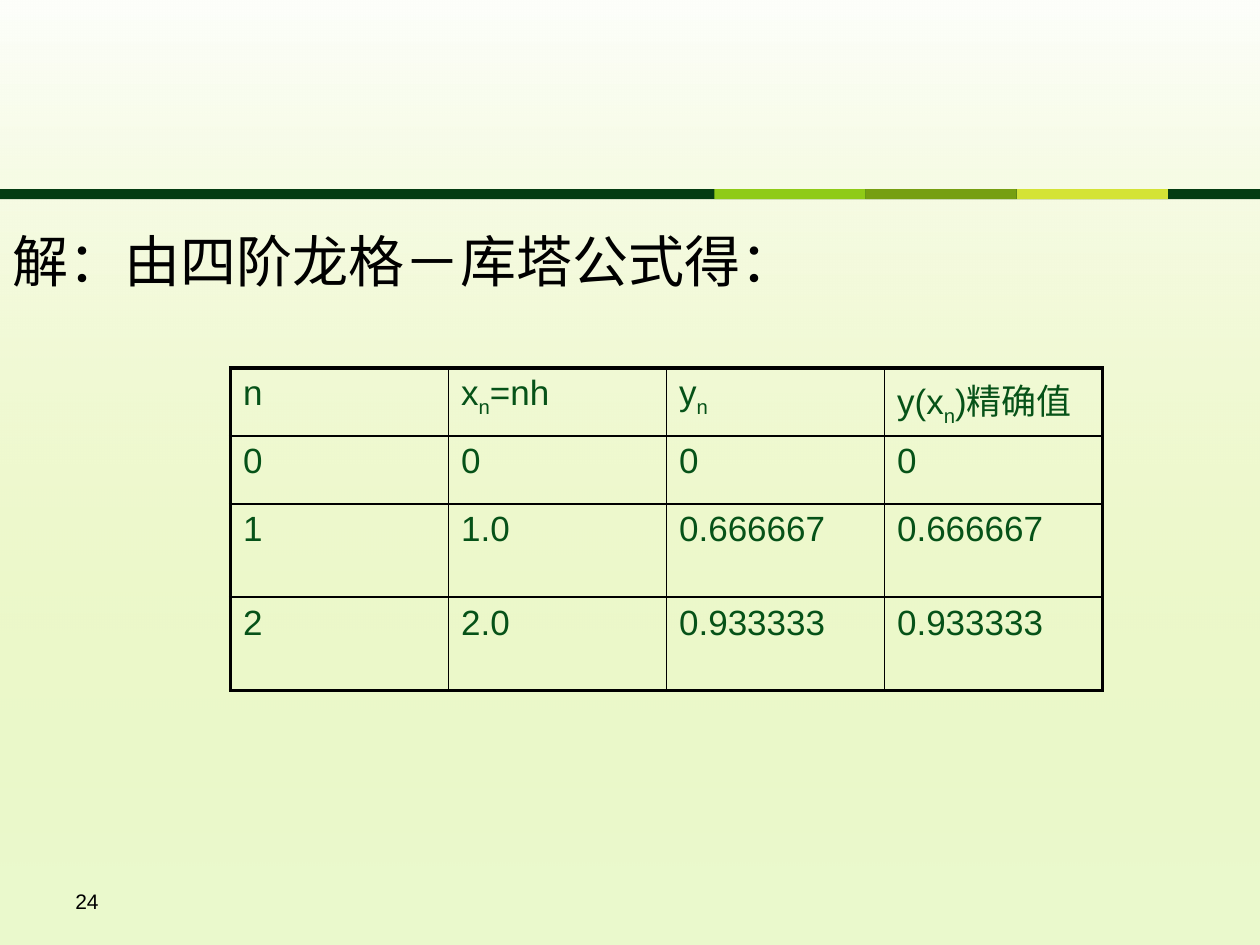
from lxml import etree
from pptx import Presentation
from pptx.dml.color import RGBColor
from pptx.enum.shapes import MSO_SHAPE
from pptx.enum.text import MSO_ANCHOR
from pptx.oxml.ns import qn
from pptx.util import Inches, Pt

RECT = MSO_SHAPE.RECTANGLE
TOP, MIDDLE = MSO_ANCHOR.TOP, MSO_ANCHOR.MIDDLE

W, H = 10, 7.5
COLORS = {
    "page": "EAF9CC", "glow": "EDF3AE", "white": "FFFFFF", "black": "000000",
    "dark": "043D12", "lime": "8FCB17", "olive": "769F11", "yellow": "D4E336",
    "cell": "065218",
}
FORMATS = {
    "body": {"size": Pt(32), "name": "Cabin"},
    "cell": {"size": Pt(20), "name": "Arial"},
    "number": {"size": Pt(12), "name": "Arial"},
}


def rgb(key):
    return RGBColor.from_string(COLORS[key])


class Deck:
    """Holds the style and the current slide; lengths are shares of the slide."""

    def __init__(self):
        self.prs = Presentation()
        self.prs.slide_width, self.prs.slide_height = Inches(W), Inches(H)
        self.slide = self.prs.slides.add_slide(self.prs.slide_layouts[6])
        fill = self.slide.background.fill
        fill.solid()
        fill.fore_color.rgb = rgb("page")

    def box(self, x, y, w, h):
        pw, ph = self.prs.slide_width, self.prs.slide_height
        return int(x * pw), int(y * ph), int(w * pw), int(h * ph)

    def rect(self, x, y, w, h, color):
        sp = self.slide.shapes.add_shape(RECT, *self.box(x, y, w, h))
        sp.shadow.inherit = False
        sp.line.fill.background()
        sp.fill.solid()
        sp.fill.fore_color.rgb = rgb(color)
        return sp

    def glow(self, x, y, w, h, stops):
        fill = self.rect(x, y, w, h, "white").fill
        fill.gradient()
        fill.gradient_angle = 90
        for stop, (color, opacity) in zip(fill.gradient_stops, stops):
            stop.color.rgb = rgb(color)
        clrs = fill._xPr.iter(qn("a:srgbClr"))
        for clr, (color, opacity) in zip(clrs, stops):
            etree.SubElement(clr, qn("a:alpha"), val=str(opacity * 1000))

    def run(self, p, text, style, color, base=0):
        r = p.add_run()
        r.text = text
        for attr, value in FORMATS[style].items():
            setattr(r.font, attr, value)
        r.font.color.rgb = rgb(color)
        if base:
            r.font._element.set("baseline", str(base * 1000))

    def text(self, x, y, w, h, text, style, anchor=TOP):
        tf = self.slide.shapes.add_textbox(*self.box(x, y, w, h)).text_frame
        tf.word_wrap = True
        tf.vertical_anchor = anchor
        self.run(tf.paragraphs[0], text, style, "black")

    def borders(self, cell, widths):
        tc_pr = cell._tc.get_or_add_tcPr()
        for i, (side, width) in enumerate(zip("LRTB", widths)):
            ln = etree.Element(qn("a:ln" + side), w=str(Pt(width)))
            fill = etree.SubElement(ln, qn("a:solidFill"))
            etree.SubElement(fill, qn("a:srgbClr"), val=COLORS["black"])
            tc_pr.insert(i, ln)

    def table(self, x, y, w, heights, rows, inner=1, outer=2.25):
        """Underscores in a cell's text enclose a subscript."""
        n_rows, n_cols = len(rows), len(rows[0])
        frame = self.slide.shapes.add_table(
            n_rows, n_cols, *self.box(x, y, w, sum(heights)))
        table = frame.table
        table.first_row = table.horz_banding = False
        for row, height in zip(table.rows, heights):
            row.height = int(height * self.prs.slide_height)
        for i, row in enumerate(rows):
            for j, text in enumerate(row):
                cell = table.cell(i, j)
                cell.fill.background()
                edges = (j == 0, j == n_cols - 1, i == 0, i == n_rows - 1)
                self.borders(cell, [outer if e else inner for e in edges])
                p = cell.text_frame.paragraphs[0]
                for k, part in enumerate(text.split("_")):
                    if part:
                        self.run(p, part, "cell", "cell", -25 * (k % 2))


def main():
    deck = Deck()

    # Background glow, fading downwards
    deck.glow(0, 0, 1, 6.88 / H, [("glow", 0), ("white", 92)])

    # Divider with three accent blocks
    bar_y, bar_h, block_w = 1.5 / H, 0.08 / H, 0.12
    deck.rect(0, bar_y, 1, bar_h, "dark")
    for i, color in enumerate(("lime", "olive", "yellow")):
        deck.rect(0.567 + i * block_w, bar_y, block_w, bar_h, color)

    # Results table
    deck.table(1.83 / W, 2.92 / H, 6.92 / W,
               [h / H for h in (0.54, 0.54, 0.74, 0.74)], [
                   ["n", "x_n_=nh", "y_n_", "y(x_n_)精确值"],
                   ["0", "0", "0", "0"],
                   ["1", "1.0", "0.666667", "0.666667"],
                   ["2", "2.0", "0.933333", "0.933333"],
               ])

    # Statement and slide number
    deck.text(0, 1.75 / H, 7.42 / W, 0.83 / H, "解：由四阶龙格－库塔公式得：", "body")
    deck.text(0.05, 6.95 / H, 2.33 / W, 0.4 / H, "24", "number", MIDDLE)

    deck.prs.save("out.pptx")


if __name__ == "__main__":
    main()
